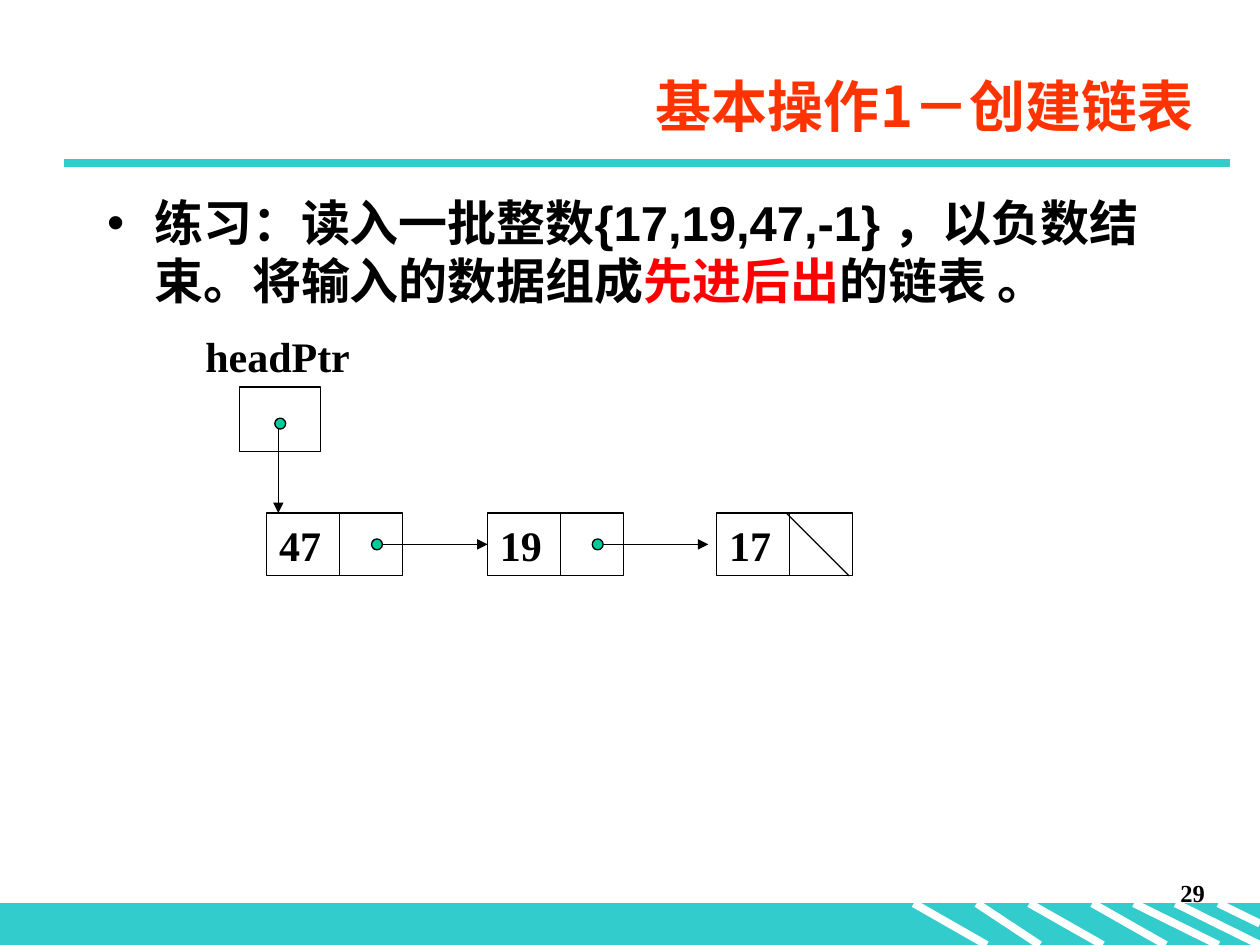
from lxml import etree
from pptx import Presentation
from pptx import util as u
from pptx.dml.color import RGBColor
from pptx.enum import shapes, text
from pptx.oxml.ns import qn

# Content
TITLE = "基本操作1－创建链表"
HEAD_LABEL = "headPtr"
PAGE = "29"
NODES = [("47", 5.38), ("19", 9.83), ("17", 14.45)]  # value, left in cm
STRIPES = [  # start x, end x, end y in cm
    (18.42, 19.89, 19.05), (19.69, 20.96, 19.05), (20.75, 22.23, 19.05),
    (22.02, 23.5, 19.05), (22.86, 24.56, 19.05), (23.7, 25.4, 19.05),
    (24.56, 25.4, 18.62),
]

BLACK = RGBColor(0x00, 0x00, 0x00)
WHITE = RGBColor(0xFF, 0xFF, 0xFF)
RED = RGBColor(0xFF, 0x00, 0x00)
ORANGE = RGBColor(0xFF, 0x33, 0x00)
TEAL = RGBColor(0x33, 0xCC, 0xCC)
GREEN = RGBColor(0x00, 0xCC, 0x99)
SERIF, SANS, CJK = "Times New Roman", "Arial", "Noto Sans CJK SC"

EXERCISE = [
    ("练习：读入一批整数{17,19,47,-1} ，以负数结束。将输入的数据组成", BLACK),
    ("先进后出", RED),
    ("的链表 。", BLACK),
]

FOOTER_TOP = 18.21
NODE_TOP, NODE_W, NODE_H = 10.34, 2.74, 1.27
DIVIDER, DOT_X, DOT = 1.47, 2.11, 0.22
LINK_START, LINK_LENGTH = 2.34, 2.11

prs = Presentation()
prs.slide_width, prs.slide_height = u.Cm(25.4), u.Cm(19.05)
slide = prs.slides.add_slide(prs.slide_layouts[6])


def add_line(x1, y1, x2, y2, color=BLACK, width=0.75, arrow=False):
    line = slide.shapes.add_connector(
        shapes.MSO_CONNECTOR.STRAIGHT, u.Cm(x1), u.Cm(y1), u.Cm(x2), u.Cm(y2))
    line.line.color.rgb = color
    line.line.width = u.Pt(width)
    if arrow:
        etree.SubElement(line.line._get_or_add_ln(), qn("a:tailEnd"), type="triangle")
    etree.SubElement(line._element.spPr, qn("a:effectLst"))


def add_form(kind, x, y, w, h, fill=None, outline=BLACK):
    form = slide.shapes.add_shape(kind, u.Cm(x), u.Cm(y), u.Cm(w), u.Cm(h))
    form.shadow.inherit = False
    if fill is None:
        form.fill.background()
    else:
        form.fill.solid()
        form.fill.fore_color.rgb = fill
    form.line.color.rgb = outline
    form.line.width = u.Pt(0.75)
    return form


def add_dot(x, y):
    add_form(shapes.MSO_SHAPE.OVAL, x, y, DOT, DOT, GREEN)


def write(frame, runs, size, font, align=text.PP_ALIGN.LEFT, anchor=text.MSO_ANCHOR.TOP):
    frame.word_wrap = True
    frame.vertical_anchor = anchor
    paragraph = frame.paragraphs[0]
    paragraph.alignment = align
    paragraph.font.size, paragraph.font.bold = u.Pt(size), True
    paragraph.font.name = font
    if len(runs) == 1:
        paragraph.font.color.rgb = runs[0][1]
    latin = paragraph.font._element.find(qn("a:latin"))
    latin.addnext(latin.makeelement(qn("a:ea"), {"typeface": CJK}))
    for words, color in runs:
        run = paragraph.add_run()
        run.text = words
        if len(runs) > 1:
            run.font.color.rgb = color


def add_text(x, y, w, h):
    return slide.shapes.add_textbox(u.Cm(x), u.Cm(y), u.Cm(w), u.Cm(h)).text_frame


# Footer band, stripes and page number
add_form(shapes.MSO_SHAPE.RECTANGLE, 0, FOOTER_TOP, 25.4, 0.84, TEAL, TEAL)
for start, end, bottom in STRIPES:
    add_line(start, FOOTER_TOP, end, bottom, WHITE, 4.5)
write(add_text(19.25, 17.58, 5.29, 1.27), [(PAGE, BLACK)], 14, SERIF, text.PP_ALIGN.RIGHT)

# Title and its rule
add_line(1.3, 3.28, 24.79, 3.28, TEAL, 4.5)
write(add_text(3.51, 1.12, 20.8, 2.01), [(TITLE, ORANGE)], 32, CJK,
      text.PP_ALIGN.RIGHT, text.MSO_ANCHOR.MIDDLE)

# Exercise bullet
exercise = add_text(1.91, 3.66, 21.59, 12.8)
exercise.margin_top = u.Cm(0.25)
bullet = exercise.paragraphs[0]
bullet.line_spacing = u.Pt(33)
props = bullet._p.get_or_add_pPr()
props.set("marL", str(u.Cm(0.95)))
props.set("indent", str(-u.Cm(0.95)))
bullet_color = etree.SubElement(props, qn("a:buClr"))
etree.SubElement(bullet_color, qn("a:srgbClr"), val=str(BLACK))
etree.SubElement(props, qn("a:buFont"), typeface=SANS)
etree.SubElement(props, qn("a:buChar"), char="•")
write(exercise, EXERCISE, 28, SANS)

# List nodes: value cell, pointer cell, link to the next node
node_bottom, node_middle = NODE_TOP + NODE_H, NODE_TOP + NODE_H / 2
for value, left in NODES:
    node = add_form(shapes.MSO_SHAPE.RECTANGLE, left, NODE_TOP, NODE_W, NODE_H)
    write(node.text_frame, [(value, BLACK)], 24, SERIF)
    add_line(left + DIVIDER, NODE_TOP, left + DIVIDER, node_bottom)
for value, left in NODES[:-1]:
    link = left + LINK_START
    add_line(link, node_middle, link + LINK_LENGTH, node_middle, arrow=True)
    add_dot(left + DOT_X, node_middle - DOT / 2)

# Null mark in the last node
add_line(15.85, NODE_TOP, 17.12, node_bottom)

# Head pointer
add_form(shapes.MSO_SHAPE.RECTANGLE, 4.83, 7.8, 1.63, 1.3)
write(add_text(3.89, 6.53, 3.76, 1.27), [(HEAD_LABEL, BLACK)], 24, SERIF)
add_dot(5.54, 8.43)
add_line(5.61, 8.64, 5.61, NODE_TOP, arrow=True)

prs.save("out.pptx")
